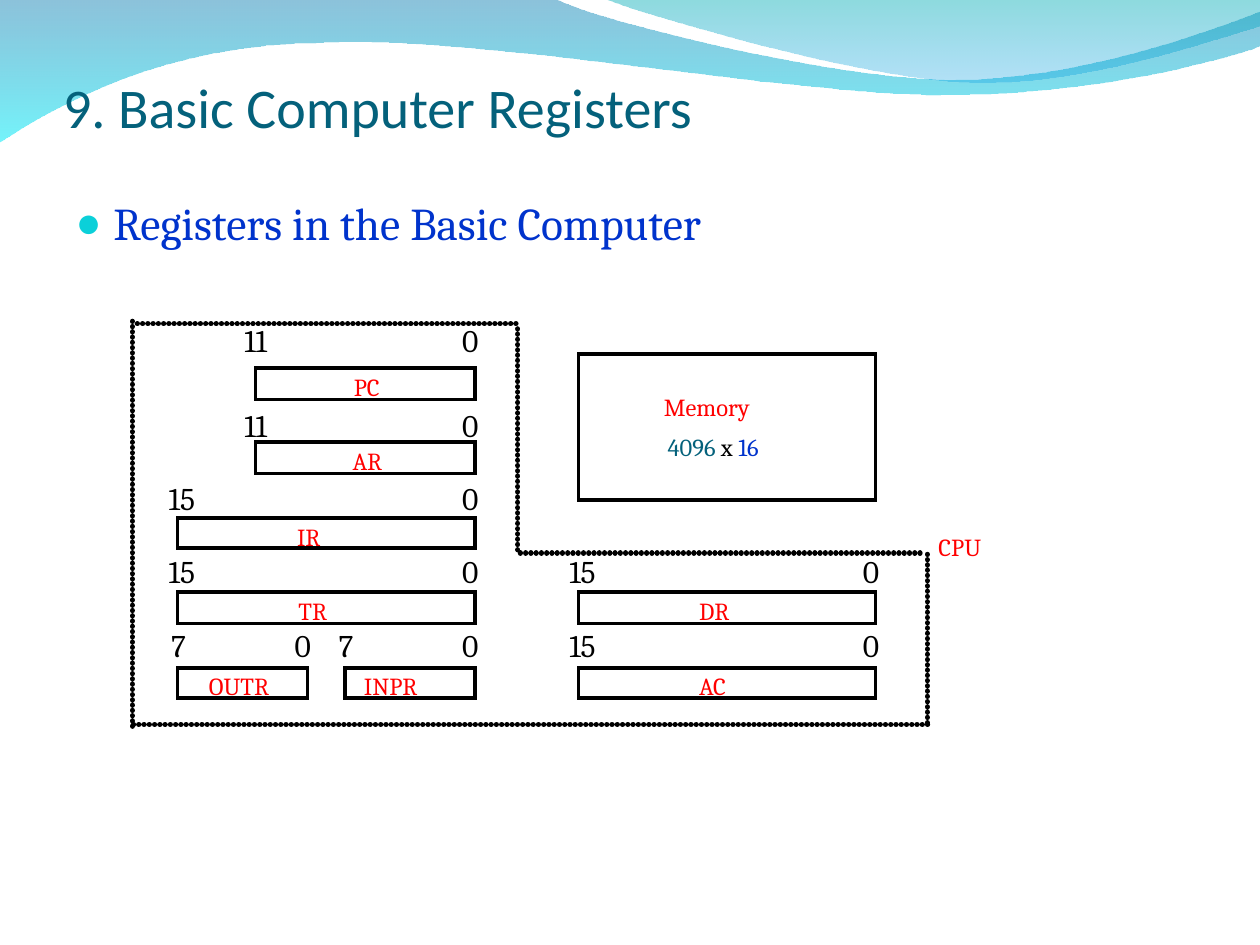
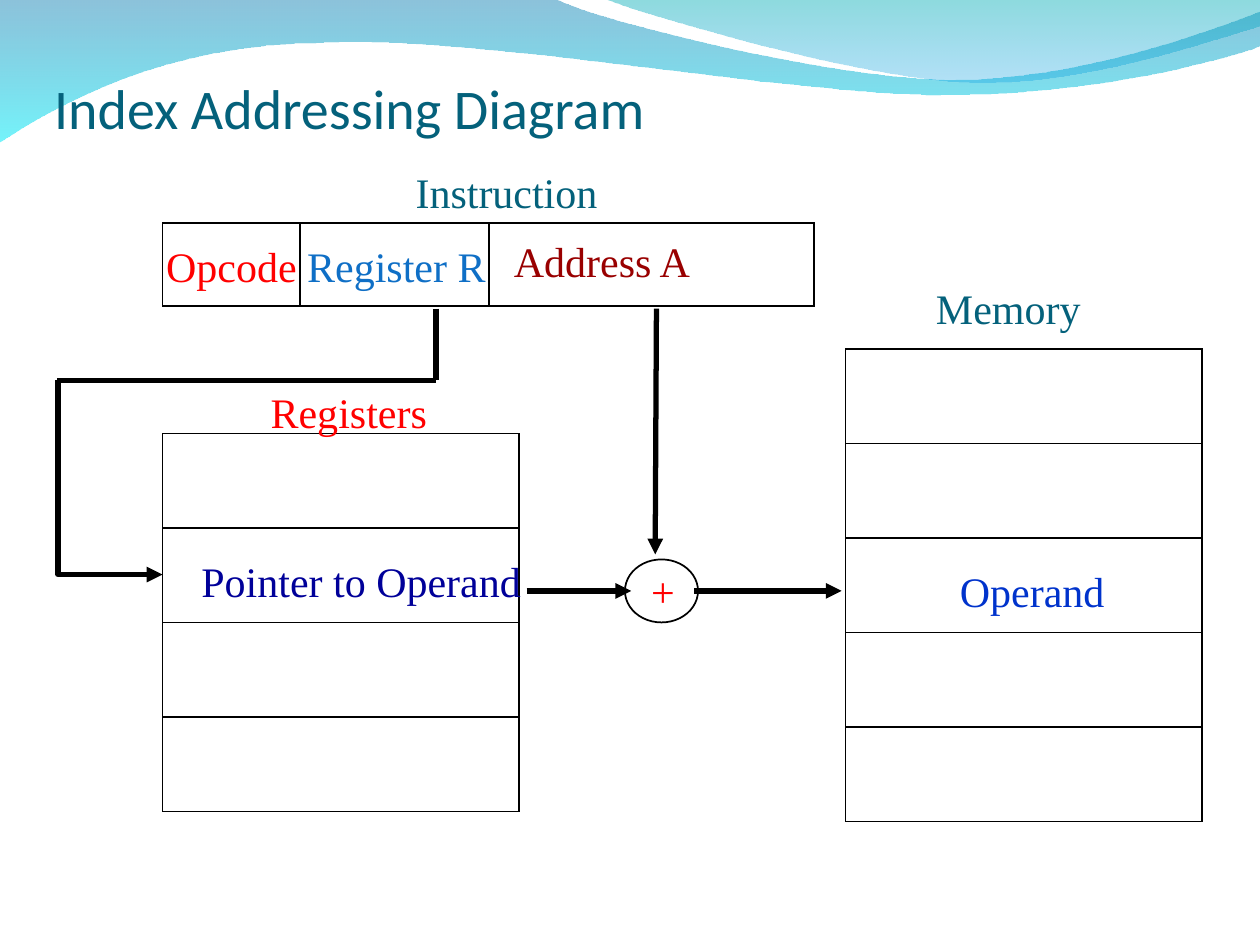
"""Build two slides on basic computer registers and index addressing."""
from lxml import etree
from pptx import Presentation
from pptx.dml.color import RGBColor
from pptx.enum import shapes, text
from pptx.oxml.ns import qn
from pptx.util import Inches, Pt

BLACK = RGBColor(0x00, 0x00, 0x00)
RED = RGBColor(0xFF, 0x00, 0x00)
TEAL = RGBColor(0x04, 0x61, 0x7B)
BLUE = RGBColor(0x00, 0x33, 0xCC)
SKY = RGBColor(0x0F, 0x6F, 0xC6)
NAVY = RGBColor(0x00, 0x00, 0x99)
MAROON = RGBColor(0x99, 0x00, 0x00)
BULLET = RGBColor(0x0B, 0xD0, 0xD9)
WAVE_DARK = RGBColor(0x00, 0x79, 0xAF)
WAVE_CYAN = RGBColor(0x00, 0xEB, 0xF8)
WAVE_GREEN = RGBColor(0x00, 0xAD, 0xB6)
WAVE_BLUE = RGBColor(0x00, 0x9B, 0xE5)
TITLE_FONT, SERIF, TIMES = "Calibri", "Cambria", "Times New Roman"


def add_text(s, x, y, w, h, runs, size, font):
    """Add an unwrapped label made of (text, colour) runs."""
    sp = s.shapes.add_textbox(Inches(x), Inches(y), Inches(w), Inches(h))
    tf = sp.text_frame
    tf.word_wrap = False
    tf.auto_size = text.MSO_AUTO_SIZE.SHAPE_TO_FIT_TEXT
    for words, color in runs:
        r = tf.paragraphs[0].add_run()
        r.text = words
        r.font.size = Pt(size)
        r.font.name = font
        r.font.color.rgb = color


def style_line(sp, weight, dotted=False, arrow=False):
    """Give a shape or connector a plain black line without shadow."""
    sp.line.color.rgb = BLACK
    sp.line.width = Pt(weight)
    ln = sp.line._get_or_add_ln()
    if dotted:
        ln.set("cap", "rnd")
        dash = etree.SubElement(ln, qn("a:custDash"))
        etree.SubElement(dash, qn("a:ds"), d="1000", sp="99000")
    if arrow:
        etree.SubElement(ln, qn("a:round"))
        etree.SubElement(ln, qn("a:tailEnd"), type="triangle")
    else:
        etree.SubElement(ln, qn("a:miter"), lim="800000")
    etree.SubElement(sp._element.spPr, qn("a:effectLst"))


prs = Presentation()
prs.slide_width, prs.slide_height = Inches(10), Inches(7.5)
registers = prs.slides.add_slide(prs.slide_layouts[1])
indexing = prs.slides.add_slide(prs.slide_layouts[5])

waves = [
    ([(0, -0.01), (4.4, -0.01),
      (4.76, 0.17, 6.64, 0.63, 7.58, 0.63), (8.53, 0.63, 9.58, 0.26, 10, 0.09),
      (10.01, 0.36), (9.83, 0.44, 8.7, 0.76, 7.46, 0.75),
      (6.22, 0.75, 3.82, 0.28, 2.57, 0.34), (1.29, 0.35, 0.46, 0.83, -0.01, 1.13),
      (0, -0.01)],
     [(WAVE_DARK, 45), (WAVE_CYAN, 55)]),
    ([(4.79, -0.01), (5.09, 0.11, 6.82, 0.62, 7.69, 0.65),
      (8.56, 0.69, 9.61, 0.32, 10, 0.21), (10, 0), (4.79, -0.01)],
     [(WAVE_GREEN, 45), (WAVE_BLUE, 30)]),
]
for i, (segments, stops) in enumerate(waves):
    points = [(Inches(seg[n]), Inches(seg[n + 1]))
              for seg in segments for n in range(0, len(seg), 2)]
    builder = registers.shapes.build_freeform(*points[0])
    sp = builder.add_line_segments(points[1:], close=True).convert_to_shape()
    lines = iter(list(sp._element.iter(qn("a:lnTo"))))
    for seg in segments[1:]:
        first = next(lines)
        if len(seg) == 6:
            first.tag = qn("a:cubicBezTo")
            for _ in range(2):
                control = next(lines)
                first.append(control[0])
                control.getparent().remove(control)
    sp.shadow.inherit = False
    sp.line.fill.background()
    sp.fill.gradient()
    sp.fill.gradient_angle = 270
    for stop, (color, opacity) in zip(sp.fill.gradient_stops, stops):
        stop.color.rgb = color
        clr = stop._gs.find(qn("a:srgbClr"))
        etree.SubElement(clr, qn("a:alpha"), val=str(opacity * 1000))
    sp._element.nvSpPr.cNvPr.set("id", str(100 + i))
    prs.slide_master.shapes._spTree.insert(2 + i, sp._element)

titles = [
    (registers, "9. Basic Computer Registers", 0.5, 0.58, 6.97, 0.53, 0, 0),
    (indexing, "Index Addressing Diagram", 0.33, 0.66, 9, 0.51, 0.1, 0.05),
]
for s, words, x, y, w, h, side, bottom in titles:
    sp = s.shapes.title
    sp.left, sp.top, sp.width, sp.height = Inches(x), Inches(y), Inches(w), Inches(h)
    tf = sp.text_frame
    tf.auto_size = text.MSO_AUTO_SIZE.NONE
    tf.vertical_anchor = text.MSO_ANCHOR.BOTTOM
    tf.margin_left = tf.margin_right = Inches(side)
    tf.margin_bottom = Inches(bottom)
    p = tf.paragraphs[0]
    p.alignment = text.PP_ALIGN.LEFT
    r = p.add_run()
    r.text = words
    r.font.size, r.font.name = Pt(32), TITLE_FONT
    r.font.color.rgb = TEAL

sp = registers.placeholders[1]
sp.left, sp.top, sp.width, sp.height = Inches(0.5), Inches(1.5), Inches(9), Inches(4.8)
tf = sp.text_frame
tf.auto_size = text.MSO_AUTO_SIZE.NONE
p = tf.paragraphs[0]
p.space_before = Pt(0)
pPr = p._p.get_or_add_pPr()
pPr.set("marL", str(Inches(0.3)))
pPr.set("indent", str(-Inches(0.3)))
etree.SubElement(etree.SubElement(pPr, qn("a:buClr")), qn("a:srgbClr"), val=str(BULLET))
etree.SubElement(pPr, qn("a:buSzPct"), val="95000")
etree.SubElement(pPr, qn("a:buChar"), char="●")
r = p.add_run()
r.text = "Registers in the Basic Computer"
r.font.size, r.font.name = Pt(26), SERIF
r.font.color.rgb = BLUE

RECT, OVAL = shapes.MSO_SHAPE.RECTANGLE, shapes.MSO_SHAPE.OVAL
frames = [
    (registers, RECT, 4.59, 2.81, 2.36, 1.16, 2),
    (indexing, RECT, 1.29, 1.77, 5.17, 0.66, 1),
    (indexing, OVAL, 4.96, 4.44, 0.58, 0.5, 1),
]
CELL_W, CELL_H = 2.83, 0.75
for x, top, count in [(6.71, 2.77, 5), (1.29, 3.44, 4)]:
    for i in range(count):
        frames.append((indexing, RECT, x, top + i * CELL_H, CELL_W, CELL_H, 1))

rows = [(2.92, 0.25, 2.5), (3.51, 0.25, 3.17), (4.11, 0.24, 3.75),
        (4.7, 0.25, 4.33), (5.3, 0.24, 4.92)]
high_bits = {"11": (0.19, 0.48), "15": (0.17, 0.48), "7": (0.15, 0.34)}
register_boxes = [
    ("PC", 0, 2.03, 1.74, "11", 2.71, 0.44),
    ("AR", 1, 2.03, 1.74, "11", 2.7, 0.46),
    ("IR", 2, 1.41, 2.36, "15", 2.26, 0.4),
    ("TR", 3, 1.41, 2.36, "15", 2.27, 0.45),
    ("OUTR", 4, 1.41, 1.03, "7", 1.56, 0.73),
    ("INPR", 4, 2.74, 1.03, "7", 2.79, 0.66),
    ("DR", 3, 4.59, 2.36, "15", 5.45, 0.47),
    ("AC", 4, 4.59, 2.36, "15", 5.45, 0.46),
]
for name, row, x, w, high_bit, name_x, name_w in register_boxes:
    y, h, bit_y = rows[row]
    shift, bit_w = high_bits[high_bit]
    frames.append((registers, RECT, x, y, w, h, 2))
    add_text(registers, x - shift, bit_y, bit_w, 0.4, [(high_bit, BLACK)], 18, SERIF)
    add_text(registers, x + w - 0.2, bit_y, 0.34, 0.4, [("0", BLACK)], 18, SERIF)
    add_text(registers, name_x, y - 0.02, name_w, 0.33, [(name, RED)], 14, SERIF)

for s, kind, x, y, w, h, weight in frames:
    sp = s.shapes.add_shape(kind, Inches(x), Inches(y), Inches(w), Inches(h))
    sp.fill.background()
    style_line(sp, weight)

add_text(registers, 5.17, 3.06, 0.98, 0.56, [("Memory", RED)], 14, SERIF)
add_text(registers, 5.2, 3.38, 1.07, 0.33,
         [("4096", TEAL), (" x ", BLACK), ("16", BLUE)], 14, SERIF)
add_text(registers, 7.35, 4.17, 0.57, 0.34, [("CPU", RED)], 14, SERIF)

diagram_labels = [
    ("Register R", 2.34, 1.86, 1.63, SKY),
    ("Opcode", 1.22, 1.86, 1.24, RED),
    ("Instruction", 3.2, 1.27, 1.66, TEAL),
    ("Memory", 7.33, 2.19, 1.35, TEAL),
    ("Operand", 7.52, 4.44, 1.36, BLUE),
    ("Pointer to Operand", 1.5, 4.36, 2.74, NAVY),
    ("Registers", 2.05, 3.02, 1.44, RED),
    ("Address A", 3.98, 1.82, 1.61, MAROON),
    ("+", 5.07, 4.44, 0.39, RED),
]
for words, x, y, w, color in diagram_labels:
    add_text(indexing, x, y, w, 0.5, [(words, color)], 24, TIMES)

cpu_border = [
    (1.05, 2.55, 1.05, 5.77), (1.06, 5.75, 7.4, 5.75), (1.09, 2.57, 4.11, 2.57),
    (4.11, 2.61, 4.11, 4.38), (4.13, 4.39, 7.34, 4.39), (7.36, 4.4, 7.36, 5.75),
]
field_dividers = [(x, 1.78, x, 2.43) for x in (2.38, 3.88)]
register_path = [(3.46, 2.45, 3.46, 3.02), (3.46, 3.02, 0.45, 3.02)]
arrows = [(5.21, 2.45, 5.2, 4.4), (5.51, 4.69, 6.68, 4.69), (4.18, 4.69, 5.01, 4.69)]
for s, lines, weight, dotted, arrow in [
    (registers, cpu_border, 3, True, False),
    (indexing, field_dividers, 1, False, False),
    (indexing, register_path, 3, False, False),
    (indexing, arrows, 3, False, True),
]:
    for ends in lines:
        sp = s.shapes.add_connector(shapes.MSO_CONNECTOR.STRAIGHT, *map(Inches, ends))
        style_line(sp, weight, dotted, arrow)

builder = indexing.shapes.build_freeform(Inches(0.46), Inches(3.02))
builder.add_line_segments([(Inches(0.46), Inches(4.56)), (Inches(1.29), Inches(4.56))],
                          close=False)
sp = builder.convert_to_shape()
sp.fill.background()
style_line(sp, 3, arrow=True)

prs.save("out.pptx")
